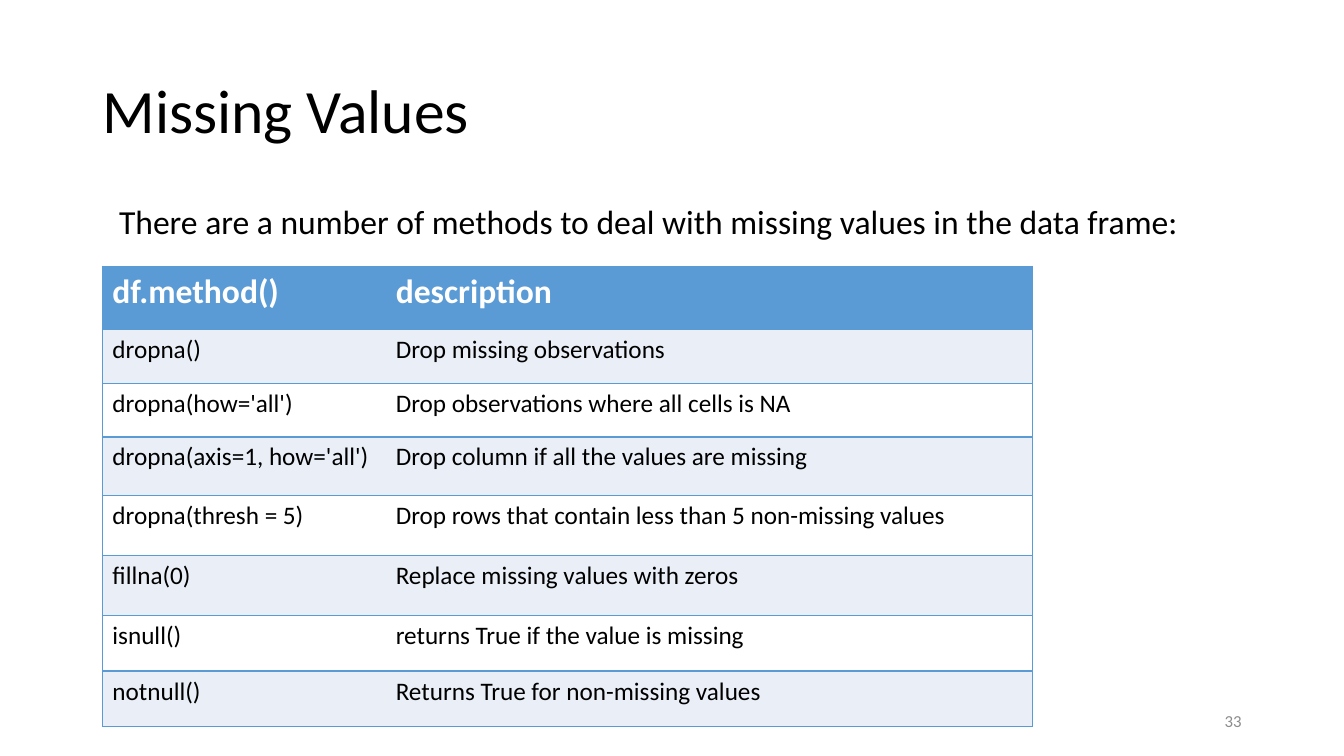
from lxml import etree
from pptx import Presentation
from pptx import util as u
from pptx.dml.color import RGBColor
from pptx.enum import text
from pptx.oxml.ns import qn

COLORS = {
    "text": "000000",
    "number": "8C8C8C",
    "accent": "5B9BD5",
    "band": "EAEFF7",
    "white": "FFFFFF",
}

METHODS = [
    ("df.method()", "description"),
    ("dropna()", "Drop missing observations"),
    ("dropna(how='all')", "Drop observations where all cells is NA"),
    ("dropna(axis=1, how='all')", "Drop column if all the values are missing"),
    ("dropna(thresh = 5)", "Drop rows that contain less than 5 non-missing values"),
    ("fillna(0)", "Replace missing values with zeros"),
    ("isnull()", "returns True if the value is missing"),
    ("notnull()", "Returns True for non-missing values"),
]
COL_WIDTHS = [7.14, 16.3]
ROW_HEIGHTS = [1.6, 1.35, 1.35, 1.48, 1.51, 1.51, 1.4, 1.4]


class Deck:
    font = "Calibri"

    def __init__(self, prs):
        self.s = prs.slides.add_slide(prs.slide_layouts[5])

    def run(self, p, words, size, color, bold=False):
        r = p.add_run()
        r.text = words
        r.font.name = self.font
        r.font.size = u.Pt(size)
        r.font.bold = bold
        r.font.color.rgb = RGBColor.from_string(COLORS[color])

    def title(self, words, box):
        sp = self.s.shapes.title
        sp.left, sp.top, sp.width, sp.height = map(u.Cm, box)
        tf = sp.text_frame
        tf.word_wrap = True
        tf.vertical_anchor = text.MSO_ANCHOR.MIDDLE
        p = tf.paragraphs[0]
        p.alignment = text.PP_ALIGN.LEFT
        p.line_spacing = 0.9
        self.run(p, words, 44, "text")

    def label(self, words, box, size, color, align=text.PP_ALIGN.LEFT,
              anchor=text.MSO_ANCHOR.TOP):
        tf = self.s.shapes.add_textbox(*map(u.Cm, box)).text_frame
        tf.word_wrap = True
        tf.vertical_anchor = anchor
        p = tf.paragraphs[0]
        p.alignment = align
        self.run(p, words, size, color)

    def borders(self, cell, open_side):
        tcPr = cell._tc.get_or_add_tcPr()
        for side in ("lnL", "lnR", "lnT", "lnB"):
            ln = etree.SubElement(tcPr, qn(f"a:{side}"), w=str(u.Pt(1)))
            if side == open_side:
                etree.SubElement(ln, qn("a:noFill"))
            else:
                fill = etree.SubElement(ln, qn("a:solidFill"))
                etree.SubElement(fill, qn("a:srgbClr"), val=COLORS["accent"])

    def table(self, rows, left, top, widths, heights):
        box = map(u.Cm, (left, top, sum(widths), sum(heights)))
        tbl = self.s.shapes.add_table(len(rows), len(widths), *box).table
        for col, width in zip(tbl.columns, widths):
            col.width = u.Cm(width)
        for i, (row, height) in enumerate(zip(rows, heights)):
            tbl.rows[i].height = u.Cm(height)
            header = i == 0
            shade = "accent" if header else "band" if i % 2 else "white"
            for j, words in enumerate(row):
                cell = tbl.cell(i, j)
                # No line between the two columns
                self.borders(cell, "lnL" if j else "lnR")
                cell.fill.solid()
                cell.fill.fore_color.rgb = RGBColor.from_string(COLORS[shade])
                self.run(cell.text_frame.paragraphs[0], words,
                         24 if header else 18,
                         "white" if header else "text", header)


def main():
    prs = Presentation()
    prs.slide_width, prs.slide_height = u.Cm(33.87), u.Cm(19.05)
    deck = Deck(prs)

    # Title, slide number and introduction
    deck.title("Missing Values", (2.33, 1.01, 29.21, 3.68))
    deck.label("33", (23.92, 17.66, 7.62, 1.01), 12, "number",
               text.PP_ALIGN.RIGHT, text.MSO_ANCHOR.MIDDLE)
    deck.label("There are a number of methods to deal with missing values "
               "in the data frame:", (2.75, 4.94, 28.93, 1.28), 24, "text")

    # Table of methods
    deck.table(METHODS, 2.58, 6.71, COL_WIDTHS, ROW_HEIGHTS)

    prs.save("out.pptx")


if __name__ == "__main__":
    main()
